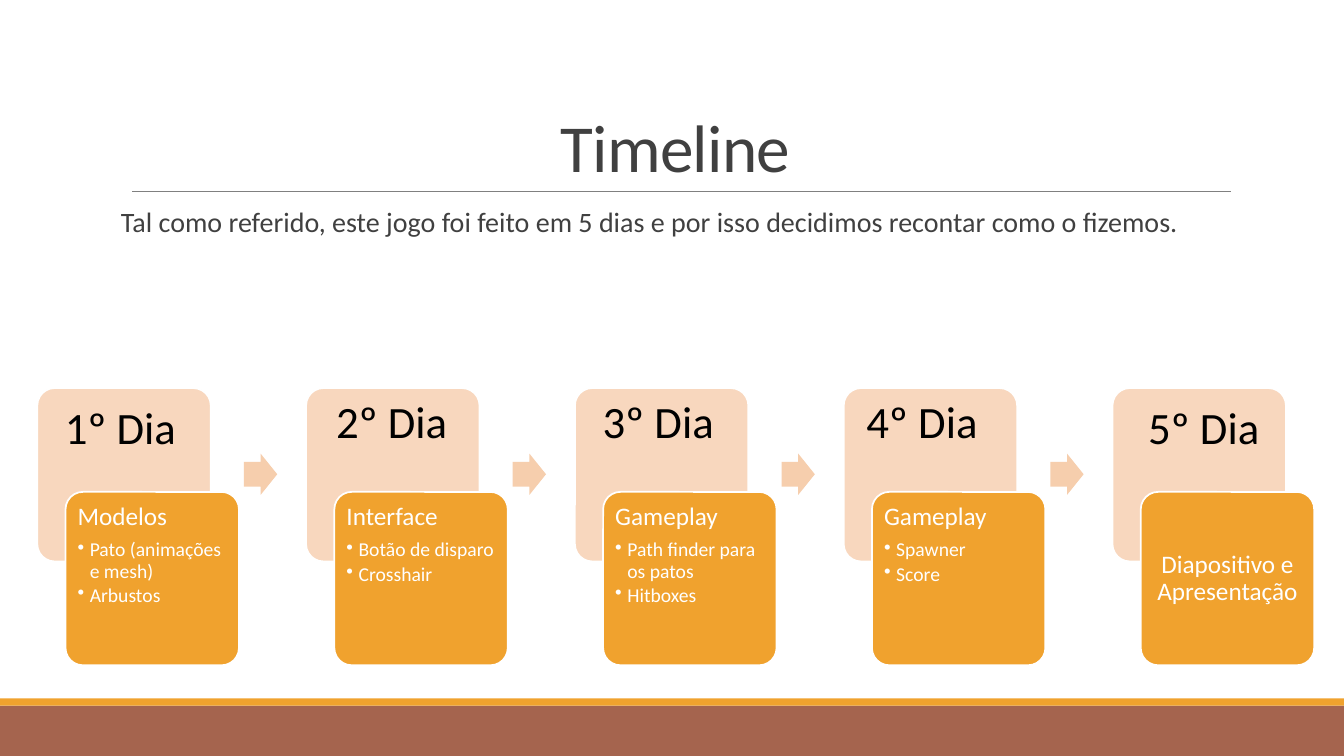
import pptx
import pptx.util
import pptx.dml.color
import pptx.enum.shapes
import pptx.enum.text
import lxml.etree

Inches, Pt = pptx.util.Inches, pptx.util.Pt
SHAPE = pptx.enum.shapes.MSO_SHAPE
ALIGN = pptx.enum.text.PP_ALIGN
ANCHOR = pptx.enum.text.MSO_ANCHOR
COLORS = {
    "brown": "A5644E", "orange": "F0A22E", "peach": "F8D7BE", "arrow": "F6CEAD",
    "rule": "808080", "gray": "404040", "white": "FFFFFF", "black": "000000",
}

deck = pptx.Presentation()
deck.slide_width, deck.slide_height = Inches(13.33), Inches(7.5)
page = deck.slides.add_slide(deck.slide_layouts[6])


def add_block(kind, left, top, width, height, fill, outline=None):
    block = page.shapes.add_shape(kind, Inches(left), Inches(top), Inches(width), Inches(height))
    block.shadow.inherit = False
    block.fill.solid()
    block.fill.fore_color.rgb = pptx.dml.color.RGBColor.from_string(COLORS[fill])
    if outline:
        block.line.color.rgb = pptx.dml.color.RGBColor.from_string(COLORS[outline])
        block.line.width = Pt(1.25)
    else:
        block.line.fill.background()
    return block


def add_text(para, text, size, color, align=ALIGN.LEFT, spacing=1.0, after=0):
    para.alignment = align
    para.line_spacing = spacing
    para.space_after = Pt(after)
    span = para.add_run()
    span.text = text
    span.font.name = "Calibri"
    span.font.size = Pt(size)
    span.font.color.rgb = pptx.dml.color.RGBColor.from_string(COLORS[color])
    return span


# Footer bands and the rule below the title
add_block(SHAPE.RECTANGLE, 0, 7, 13.33, 0.5, "brown")
add_block(SHAPE.RECTANGLE, 0, 6.93, 13.33, 0.07, "orange")
rule = page.shapes.add_connector(
    pptx.enum.shapes.MSO_CONNECTOR.STRAIGHT, Inches(1.31), Inches(1.9), Inches(12.21), Inches(1.9))
rule.line.color.rgb = pptx.dml.color.RGBColor.from_string(COLORS["rule"])
rule.line.width = Pt(0.5)
lxml.etree.SubElement(rule.element.spPr, pptx.oxml.ns.qn("a:effectLst"))

# Title and introduction
title = page.shapes.add_textbox(Inches(1.2), Inches(0.31), Inches(11), Inches(1.59)).text_frame
title.word_wrap = True
title.vertical_anchor = ANCHOR.BOTTOM
span = add_text(title.paragraphs[0], "Timeline", 48, "gray", ALIGN.CENTER, 0.85)
span.font.element.set("spc", "-50") if hasattr(span.font, "element") else span._r.get_or_add_rPr().set("spc", "-50")

intro = page.shapes.add_textbox(Inches(1.2), Inches(2.02), Inches(11), Inches(4.4)).text_frame
intro.word_wrap = True
intro.margin_left = intro.margin_right = 0
intro.paragraphs[0].space_before = Pt(12)
add_text(intro.paragraphs[0],
         "Tal como referido, este jogo foi feito em 5 dias e por isso decidimos recontar como o fizemos.",
         20, "gray", spacing=0.9, after=2)

# One step per day: heading and bullets
STEPS = [
    ("Modelos", ["Pato (animações e mesh)", "Arbustos"]),
    ("Interface", ["Botão de disparo", "Crosshair"]),
    ("Gameplay", ["Path finder para os patos", "Hitboxes"]),
    ("Gameplay", ["Spawner", "Score"]),
    ("Diapositivo e Apresentação", []),
]
STEP_PITCH = 2.666
CARD_SIZE = 1.72

for index, (heading, bullets) in enumerate(STEPS):
    left = 0.37 + index * STEP_PITCH
    back = add_block(SHAPE.ROUNDED_RECTANGLE, left, 3.85, CARD_SIZE, CARD_SIZE, "peach", "white")
    card = add_block(SHAPE.ROUNDED_RECTANGLE, left + 0.28, 4.88, CARD_SIZE, CARD_SIZE, "orange", "white")
    back.adjustments[0] = card.adjustments[0] = 0.1

    frame = card.text_frame
    frame.word_wrap = True
    frame.margin_left = frame.margin_right = frame.margin_top = frame.margin_bottom = Inches(0.07)
    frame.vertical_anchor = ANCHOR.TOP if bullets else ANCHOR.MIDDLE
    add_text(frame.paragraphs[0], heading, 18, "white",
             ALIGN.LEFT if bullets else ALIGN.CENTER, 0.9, 6.3)
    for bullet in bullets:
        para = frame.add_paragraph()
        para.level = 1
        add_text(para, bullet, 14, "white", spacing=0.9, after=2.1)
        properties = para._p.get_or_add_pPr()
        properties.set("marL", str(Inches(0.12)))
        properties.set("indent", str(Inches(-0.12)))
        lxml.etree.SubElement(properties, pptx.oxml.ns.qn("a:buChar"), char="•")

    if index < len(STEPS) - 1:
        arrow = add_block(SHAPE.RIGHT_ARROW, left + 2.05, 4.5, 0.33, 0.41, "arrow")
        arrow.adjustments[0], arrow.adjustments[1] = 0.6, 0.5

# Day labels: left, top, width, height, alignment
DAY_LABELS = [
    (0.42, 3.92, 1.55, 0.64, ALIGN.CENTER),
    (3.18, 3.86, 1.41, 0.94, ALIGN.CENTER),
    (5.88, 3.86, 1.4, 0.94, ALIGN.LEFT),
    (8.09, 3.86, 2.11, 0.64, ALIGN.CENTER),
    (11.02, 3.92, 1.84, 0.64, ALIGN.CENTER),
]
for day, (left, top, width, height, align) in enumerate(DAY_LABELS, start=1):
    box = page.shapes.add_textbox(Inches(left), Inches(top), Inches(width), Inches(height))
    box.text_frame.word_wrap = True
    add_text(box.text_frame.paragraphs[0], f"{day}º Dia", 32, "black", align)

deck.save("out.pptx")
